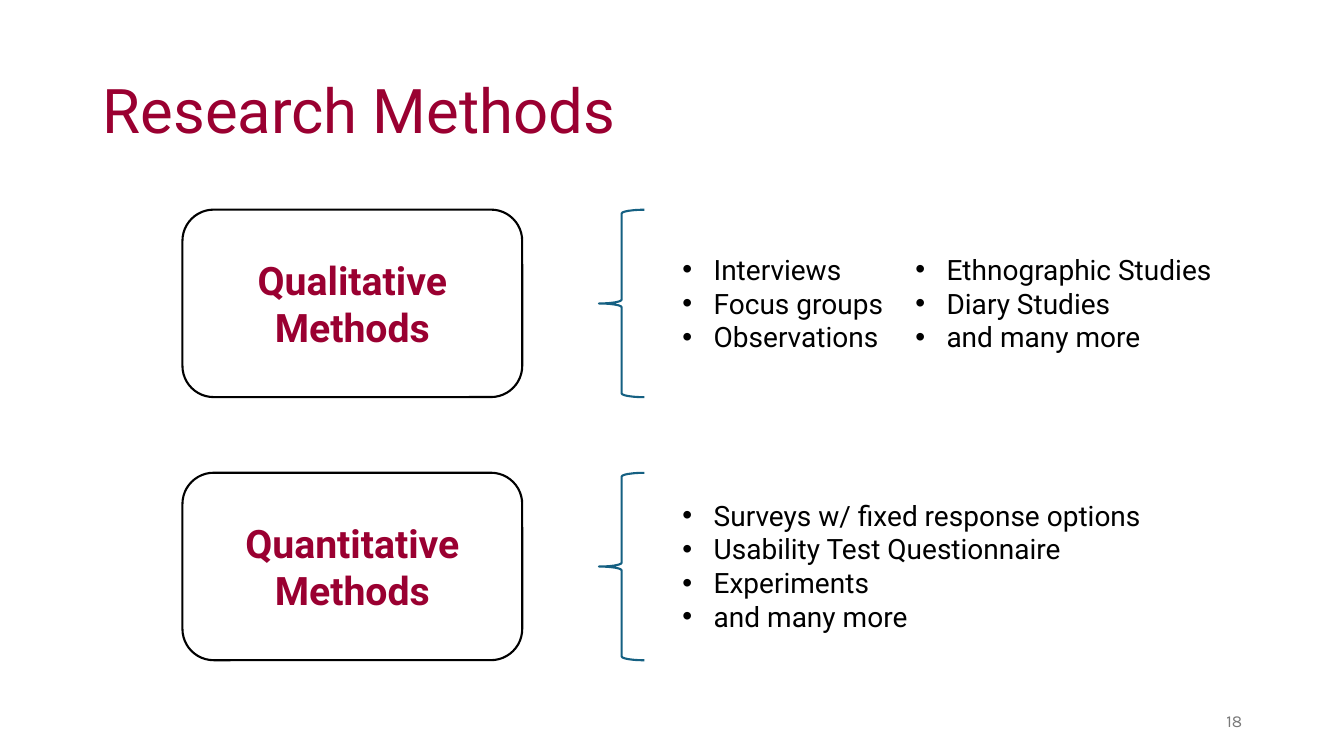
from lxml.etree import SubElement
from pptx import Presentation
from pptx.dml.color import RGBColor
from pptx.enum.shapes import MSO_SHAPE
from pptx.enum.text import MSO_ANCHOR, MSO_AUTO_SIZE, PP_ALIGN
from pptx.oxml.ns import qn
from pptx.util import Inches, Pt

MAROON, BLUE, BLACK, WHITE, GRAY = "9A0031", "156082", "000000", "FFFFFF", "797979"
ROW_H = 1.86
METHODS = [
    (2.08, ["Qualitative", "Methods"], [
        (6.67, 2.22, ["Interviews", "Focus groups", "Observations"]),
        (8.98, 3.17, ["Ethnographic Studies", "Diary Studies", "and many more"]),
    ]),
    (4.69, ["Quantitative", "Methods"], [
        (6.67, 4.81, ["Surveys w/ fixed response options", "Usability Test Questionnaire",
                      "Experiments", "and many more"]),
    ]),
]


def rgb(color):
    """Turn a hex string into a colour."""
    return RGBColor.from_string(color)


def add_bullet(p):
    """Give a paragraph a round bullet with a hanging indent."""
    pPr = p._p.get_or_add_pPr()
    pPr.set("marL", str(Inches(0.31)))
    pPr.set("indent", str(-Inches(0.31)))
    SubElement(pPr, qn("a:buFont")).set("typeface", "Arial")
    SubElement(pPr, qn("a:buChar")).set("char", "•")


def write(tf, lines, size, color, font="Roboto", bold=False, align=PP_ALIGN.LEFT,
          anchor=MSO_ANCHOR.MIDDLE, spacing=None, bullet=False):
    """Fill a text frame with one paragraph per line."""
    tf.word_wrap = True
    tf.vertical_anchor = anchor
    for i, line in enumerate(lines):
        p = tf.paragraphs[0] if i == 0 else tf.add_paragraph()
        p.alignment = align
        if spacing:
            p.line_spacing = spacing
        if bullet:
            add_bullet(p)
        r = p.add_run()
        r.text = line
        r.font.size = Pt(size)
        r.font.name = font
        r.font.bold = bold
        r.font.color.rgb = rgb(color)


def add_text(s, x, y, w, h, lines, **fmt):
    """Add a text box and return its frame."""
    tf = s.shapes.add_textbox(Inches(x), Inches(y), Inches(w), Inches(h)).text_frame
    write(tf, lines, **fmt)
    return tf


def add_outline(s, kind, x, y, w, h, line, fill=None):
    """Add a preset shape with a thin outline."""
    sp = s.shapes.add_shape(kind, Inches(x), Inches(y), Inches(w), Inches(h))
    sp.shadow.inherit = False
    sp.line.color.rgb = rgb(line)
    sp.line.width = Pt(1.5)
    if fill:
        sp.fill.solid()
        sp.fill.fore_color.rgb = rgb(fill)
    else:
        sp.fill.background()
    return sp


def add_list(s, x, middle, w, items):
    """Add a bulleted list centred on a height."""
    h = 0.34 * len(items) + 0.09
    tf = add_text(s, x, middle - h / 2, w, h, items, size=20, color=BLACK,
                  anchor=MSO_ANCHOR.TOP, bullet=True)
    tf.word_wrap = False
    tf.auto_size = MSO_AUTO_SIZE.SHAPE_TO_FIT_TEXT


def add_method(s, y, h, name, lists):
    """Add a row with a method box, a brace and its lists."""
    box = add_outline(s, MSO_SHAPE.ROUNDED_RECTANGLE, 1.81, y, 3.37, h, BLACK, WHITE)
    write(box.text_frame, name, size=28, color=MAROON, bold=True, align=PP_ALIGN.CENTER)
    brace = add_outline(s, MSO_SHAPE.RIGHT_BRACE, 5.94, y, 0.45, h, BLUE)
    brace.rotation = 180
    for x, w, items in lists:
        add_list(s, x, y + h / 2, w, items)


def main():
    """Build the slide and save it."""
    prs = Presentation()
    prs.slide_width, prs.slide_height = Inches(13.33), Inches(7.5)
    s = prs.slides.add_slide(prs.slide_layouts[6])
    add_text(s, 0.92, 0.4, 11.5, 1.45, ["Research Methods"], size=44, color=MAROON, spacing=0.9)
    for y, name, lists in METHODS:
        add_method(s, y, ROW_H, name, lists)
    add_text(s, 9.42, 6.95, 3, 0.4, ["18"], size=12, color=GRAY, font="Karla",
             align=PP_ALIGN.RIGHT)
    prs.save("out.pptx")


if __name__ == "__main__":
    main()
